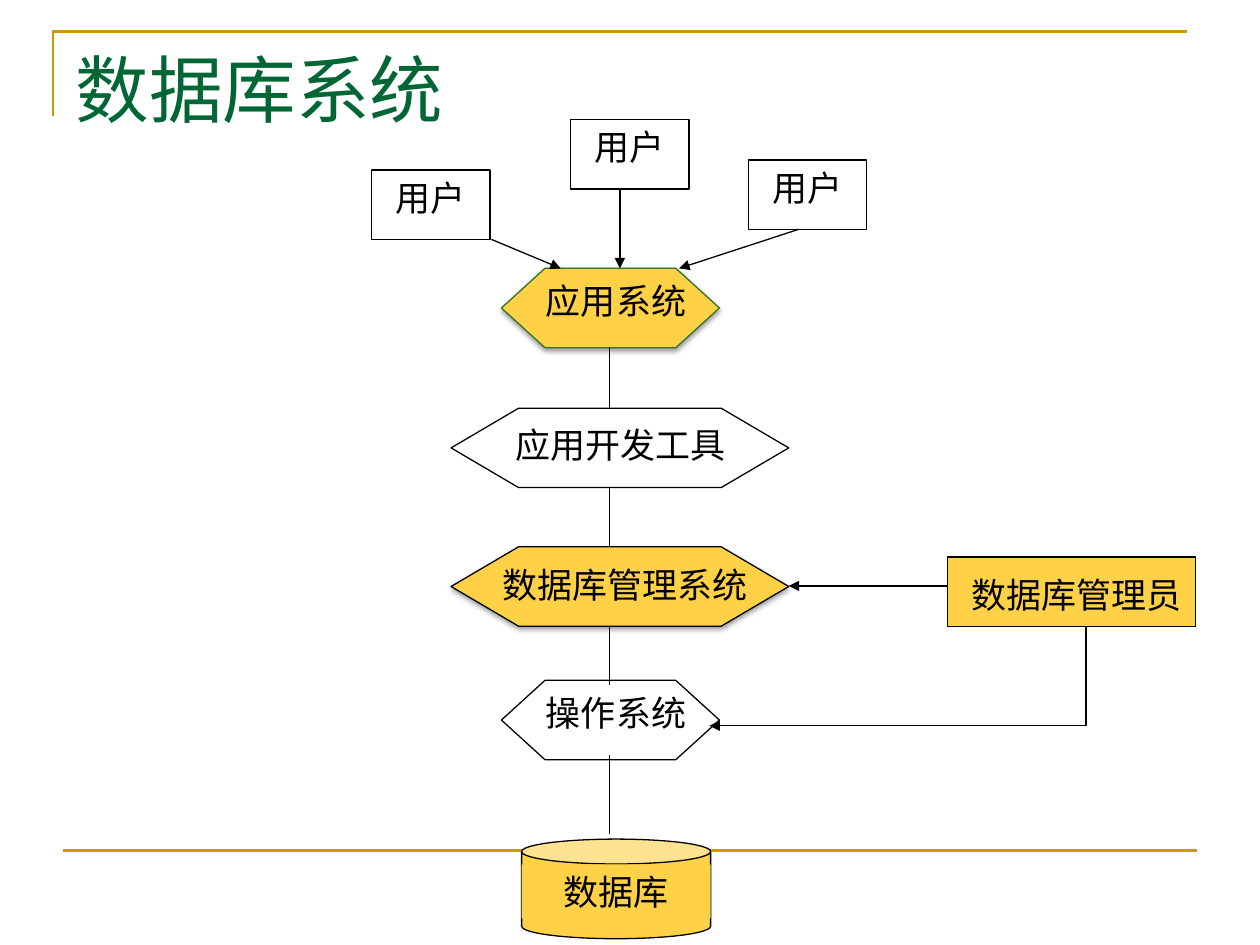
from lxml import etree
from pptx import Presentation
from pptx.dml.color import RGBColor
from pptx.enum.shapes import MSO_CONNECTOR, MSO_SHAPE
from pptx.enum.text import MSO_ANCHOR, MSO_AUTO_SIZE, PP_ALIGN
from pptx.oxml.ns import qn
from pptx.util import Inches, Pt

STRAIGHT = MSO_CONNECTOR.STRAIGHT
RECTANGLE, CAN = MSO_SHAPE.RECTANGLE, MSO_SHAPE.CAN
HEXAGON = MSO_SHAPE.FLOWCHART_PREPARATION
LEFT, CENTER = PP_ALIGN.LEFT, PP_ALIGN.CENTER
TOP = MSO_ANCHOR.TOP
FIT_SHAPE, NO_FIT = MSO_AUTO_SIZE.SHAPE_TO_FIT_TEXT, MSO_AUTO_SIZE.NONE

BLACK = RGBColor(0x00, 0x00, 0x00)
GOLD = RGBColor(0xCC, 0x99, 0x00)
YELLOW = RGBColor(0xFF, 0xD1, 0x47)
GREEN = RGBColor(0x00, 0x66, 0x33)
LEAF = RGBColor(0x33, 0x73, 0x27)

TITLE = "数据库系统"
LABEL_HEIGHT = 0.43
USER_SIZE = (0.94, 0.55)
LAYER_HEIGHT = 0.63
AXIS = 4.84

USERS = [(5.94, 1.27), (2.95, 1.35), (4.53, 0.95)]
LAYERS = [
    ("应用系统", (3.98, 2.13, 1.73), (4.14, 2.17, 1.5), YELLOW, LEAF),
    ("应用开发工具", (3.58, 3.24, 2.68), (3.98, 3.31, 1.89), None, BLACK),
    ("数据库管理系统", (3.58, 4.34, 2.68), (3.82, 4.42, 2.28), YELLOW, BLACK),
    ("操作系统", (3.98, 5.4, 1.73), (4.14, 5.44, 1.5), None, BLACK),
]
AXIS_LINKS = [(2.76, 3.24), (3.87, 4.34), (4.97, 5.44), (5.99, 6.62)]
ARROWS = [
    ((7.52, 4.65), (6.26, 4.65)),
    ((8.62, 5.76), (5.63, 5.76)),
    ((3.9, 1.9), (4.45, 2.13)),
    ((4.92, 1.5), (4.92, 2.13)),
    ((6.34, 1.82), (5.39, 2.13)),
]


def write_text(shape, text, size=20, font="Arial", color=BLACK, align=CENTER, fit=FIT_SHAPE):
    frame = shape.text_frame
    frame.word_wrap = True
    frame.auto_size = fit
    frame.vertical_anchor = TOP
    paragraph = frame.paragraphs[0]
    paragraph.alignment = align
    run = paragraph.add_run()
    run.text = text
    run.font.size = Pt(size)
    run.font.name = font
    run.font.color.rgb = color


def add_label(slide, text, left, top, width):
    box = slide.shapes.add_textbox(*map(Inches, (left, top, width, LABEL_HEIGHT)))
    write_text(box, text)


def style_outline(shape, fill, line, width=0.75):
    shape.shadow.inherit = False
    if fill is None:
        shape.fill.background()
    else:
        shape.fill.solid()
        shape.fill.fore_color.rgb = fill
    if line is None:
        shape.line.fill.background()
    else:
        shape.line.color.rgb = line
        shape.line.width = Pt(width)


def add_block(slide, kind, left, top, width, height, fill=None, line=BLACK):
    shape = slide.shapes.add_shape(kind, *map(Inches, (left, top, width, height)))
    style_outline(shape, fill, line)
    return shape


def add_drop_shadow(shape):
    effects = shape._element.spPr.find(qn("a:effectLst"))
    shadow = etree.SubElement(
        effects, qn("a:outerShdw"), blurRad=str(Pt(3.1)), dist=str(Pt(1.6)),
        dir="5400000", rotWithShape="0")
    color = etree.SubElement(shadow, qn("a:srgbClr"), val=str(BLACK))
    etree.SubElement(color, qn("a:alpha"), val="38000")


def add_line(slide, start, end, color=BLACK, width=0.75, arrow=False):
    connector = slide.shapes.add_connector(STRAIGHT, *map(Inches, (*start, *end)))
    connector.line.color.rgb = color
    connector.line.width = Pt(width)
    if arrow:
        etree.SubElement(connector.line._get_or_add_ln(), qn("a:tailEnd"), type="triangle")
    etree.SubElement(connector._element.spPr, qn("a:effectLst"))


def add_frame(slide):
    builder = slide.shapes.build_freeform(Inches(0.42), Inches(0.92))
    corner = [(Inches(0.42), Inches(0.25)), (Inches(9.42), Inches(0.25))]
    builder.add_line_segments(corner, close=False)
    style_outline(builder.convert_to_shape(), None, GOLD, width=1.5)
    add_line(slide, (0.5, 6.75), (9.5, 6.75), color=GOLD, width=1.5)


def add_title(slide):
    title = slide.shapes.title
    title.left, title.top, title.width, title.height = map(Inches, (0.5, 0.3, 9, 1.25))
    write_text(title, TITLE, size=42, font="Times New Roman", color=GREEN, align=LEFT, fit=NO_FIT)


def add_diagram(slide):
    add_block(slide, CAN, 4.14, 6.66, 1.5, 0.79, fill=YELLOW)
    for text, outline, label, fill, line in LAYERS:
        layer = add_block(slide, HEXAGON, *outline, LAYER_HEIGHT, fill=fill, line=line)
        if fill is not None:
            add_drop_shadow(layer)
        add_label(slide, text, *label)
    database = add_block(slide, RECTANGLE, 4.14, 6.86, 1.5, LABEL_HEIGHT, fill=YELLOW, line=None)
    write_text(database, "数据库")
    add_block(slide, RECTANGLE, 7.52, 4.42, 1.97, 0.55, fill=YELLOW)
    add_label(slide, "数据库管理员", 7.52, 4.5, 2.05)
    for left, top in USERS:
        add_block(slide, RECTANGLE, left, top, *USER_SIZE)
        add_label(slide, "用户", left, top, USER_SIZE[0])
    for top, bottom in AXIS_LINKS:
        add_line(slide, (AXIS, top), (AXIS, bottom))
    add_line(slide, (8.62, 5.76), (8.62, 4.97))
    for start, end in ARROWS:
        add_line(slide, start, end, arrow=True)


def main():
    presentation = Presentation()
    presentation.slide_width, presentation.slide_height = Inches(10), Inches(7.5)
    slide = presentation.slides.add_slide(presentation.slide_layouts[5])
    add_frame(slide)
    add_title(slide)
    add_diagram(slide)
    presentation.save("out.pptx")


if __name__ == "__main__":
    main()
